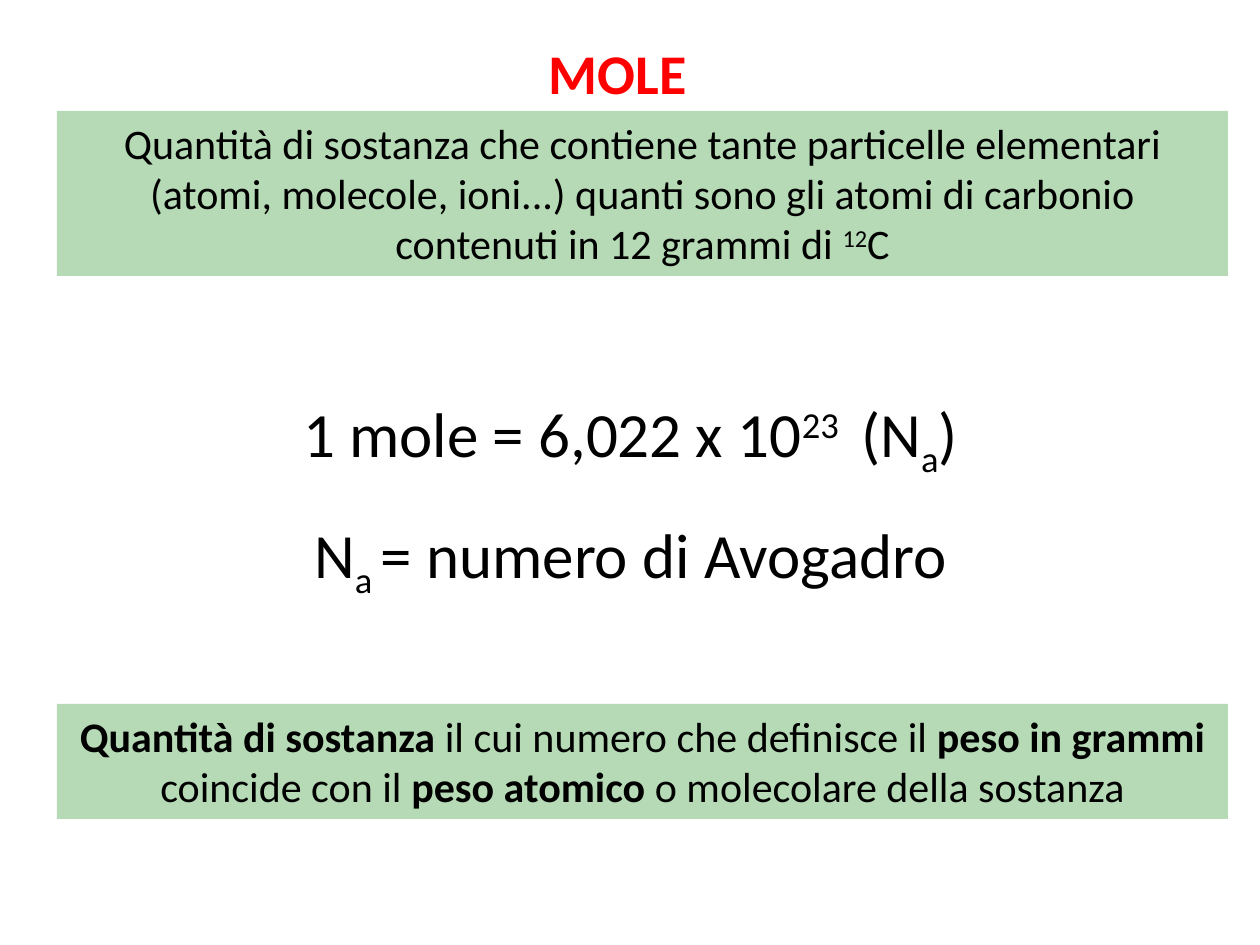
import pptx
import pptx.dml.color
import pptx.enum.shapes
import pptx.enum.text
import pptx.oxml.ns
import pptx.util
from lxml import etree

EMU_PER_PX = 914400 / 126
FONT = "Calibri"
COLORS = {"title": "FF0000", "text": "000000", "panel": "008000"}
PANEL_ALPHA = 29
PANEL_LEFT, PANEL_WIDTH = 57, 1171
BASELINES = {"super": 30, "sub": -25}
ALIGN = pptx.enum.text.PP_ALIGN


def px(value):
    """Turn pixels into EMU."""
    return pptx.util.Emu(round(value * EMU_PER_PX))


def rgb(name):
    """Look up a named colour."""
    return pptx.dml.color.RGBColor.from_string(COLORS[name])


def write_text(shape, paragraphs, size, color="text", align=ALIGN.CENTER, gap=0):
    """Fill a shape with paragraphs of (text, style) runs."""
    frame = shape.text_frame
    frame.word_wrap = True
    frame.vertical_anchor = pptx.enum.text.MSO_ANCHOR.TOP
    frame.margin_left = frame.margin_right = pptx.util.Inches(0.1)
    frame.margin_top = frame.margin_bottom = pptx.util.Inches(0.05)
    for index, runs in enumerate(paragraphs):
        paragraph = frame.add_paragraph() if index else frame.paragraphs[0]
        paragraph.alignment = align
        paragraph.space_before = pptx.util.Pt(gap if index else 0)
        for text, style in runs:
            run = paragraph.add_run()
            run.text = text
            run.font.name = FONT
            run.font.size = pptx.util.Pt(size)
            run.font.bold = style == "bold"
            run.font.color.rgb = rgb(color)
            if style in BASELINES:
                run.font._element.set("baseline", str(BASELINES[style] * 1000))


def add_title(slide, text, left, top, width, height):
    """Place and format the slide title."""
    title = slide.shapes.title
    title.left, title.top, title.width, title.height = map(px, (left, top, width, height))
    write_text(title, [[(text, "bold")]], size=32, color="title", align=ALIGN.LEFT)


def add_panel(slide, runs, top, height):
    """Add a translucent definition panel."""
    panel = slide.shapes.add_shape(
        pptx.enum.shapes.MSO_SHAPE.RECTANGLE,
        px(PANEL_LEFT), px(top), px(PANEL_WIDTH), px(height))
    panel.shadow.inherit = False
    panel.line.fill.background()
    panel.fill.solid()
    panel.fill.fore_color.rgb = rgb("panel")
    fill_color = panel._element.spPr.find(".//" + pptx.oxml.ns.qn("a:srgbClr"))
    alpha = etree.SubElement(fill_color, pptx.oxml.ns.qn("a:alpha"))
    alpha.set("val", str(PANEL_ALPHA * 1000))
    write_text(panel, [runs], size=24)


def add_formulas(slide, formulas, left, top, width, height):
    """Add the centred formula lines."""
    box = slide.shapes.add_textbox(px(left), px(top), px(width), px(height))
    write_text(box, formulas, size=36, gap=20)


def main():
    """Build the slide about the mole."""
    deck = pptx.Presentation()
    deck.slide_width, deck.slide_height = px(1260), px(945)
    slide = deck.slides.add_slide(deck.slide_layouts[5])

    add_title(slide, "MOLE", 536, 32, 378, 79)
    add_panel(slide, [
        ("Quantità di sostanza che contiene tante particelle elementari "
         "(atomi, molecole, ioni...) quanti sono gli atomi di carbonio "
         "contenuti in 12 grammi di ", None),
        ("12", "super"),
        ("C", None),
    ], top=111, height=165)
    add_formulas(slide, [
        [("1 mole = 6,022 x 10", None), ("23 ", "super"), (" (N", None),
         ("a", "sub"), (")", None)],
        [("N", None), ("a ", "sub"), ("= numero di Avogadro", None)],
    ], 263, 388, 735, 204)
    add_panel(slide, [
        ("Quantità di sostanza ", "bold"),
        ("il cui numero che definisce il ", None),
        ("peso in grammi ", "bold"),
        ("coincide con il ", None),
        ("peso atomico ", "bold"),
        ("o molecolare della sostanza", None),
    ], top=704, height=115)
    deck.save("out.pptx")


if __name__ == "__main__":
    main()
